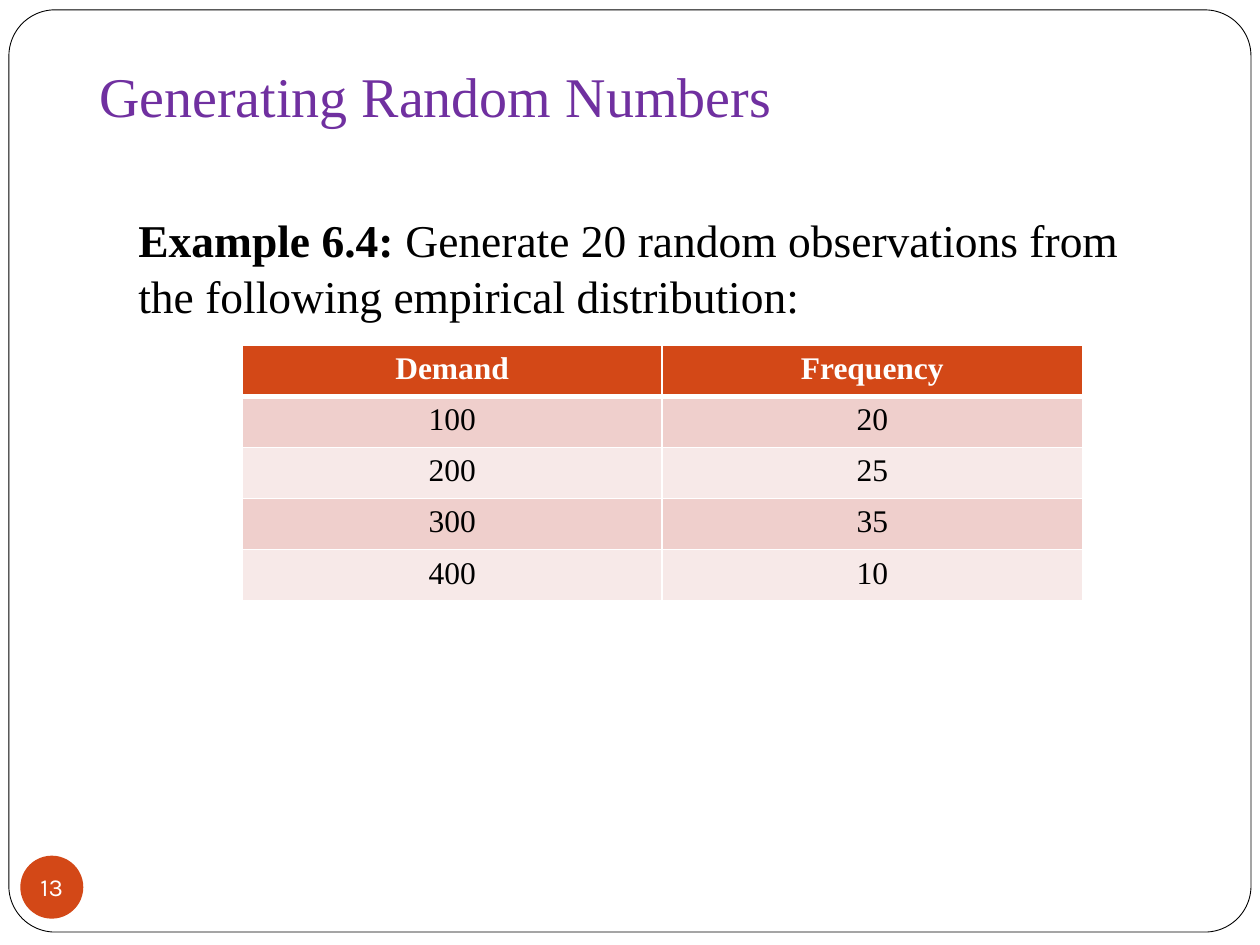
from lxml import etree
from pptx import Presentation
from pptx.dml.color import RGBColor
from pptx.enum.shapes import MSO_SHAPE
from pptx.enum.text import MSO_ANCHOR, PP_ALIGN
from pptx.oxml.ns import qn
from pptx.util import Cm, Pt

ROUNDED = MSO_SHAPE.ROUNDED_RECTANGLE
OVAL = MSO_SHAPE.OVAL
TOP, MIDDLE, BOTTOM = MSO_ANCHOR.TOP, MSO_ANCHOR.MIDDLE, MSO_ANCHOR.BOTTOM
CENTER = PP_ALIGN.CENTER
SERIF = "Times New Roman"
ORANGE, WHITE, BLACK, PURPLE = "D34817", "FFFFFF", "000000", "7030A0"
BANDS = ("EFCFCC", "F7E9E8")
DEMAND_ROWS = [
    ("Demand", "Frequency"),
    ("100", "20"),
    ("200", "25"),
    ("300", "35"),
    ("400", "10"),
]


def rgb(color):
    """Turn a hex string into a colour."""
    return RGBColor.from_string(color)


def style_run(r, size, color, bold=False, name=SERIF):
    """Format one run."""
    r.font.size = Pt(size)
    r.font.name = name
    r.font.bold = bold
    r.font.color.rgb = rgb(color)


def add_shape(s, kind, left, top, width, height, fill, line=None):
    """Add a filled preset shape, outlined when a line colour is given."""
    sp = s.shapes.add_shape(kind, Cm(left), Cm(top), Cm(width), Cm(height))
    sp.shadow.inherit = False
    sp.fill.solid()
    sp.fill.fore_color.rgb = rgb(fill)
    if line:
        sp.line.color.rgb = rgb(line)
        sp.line.width = Pt(0.5)
    else:
        sp.line.fill.background()
    return sp


def add_text(s, left, top, width, height, runs, size, color, anchor=TOP):
    """Add a wrapped text box from (text, bold) runs and return its paragraph."""
    tf = s.shapes.add_textbox(Cm(left), Cm(top), Cm(width), Cm(height)).text_frame
    tf.word_wrap = True
    tf.vertical_anchor = anchor
    p = tf.paragraphs[0]
    for text, bold in runs:
        r = p.add_run()
        r.text = text
        style_run(r, size, color, bold)
    return p


def add_page_number(s, number):
    """Add the round page number badge."""
    sp = add_shape(s, OVAL, 0.41, 17.25, 1.27, 1.27, ORANGE)
    tf = sp.text_frame
    tf.margin_left = tf.margin_right = tf.margin_top = tf.margin_bottom = 0
    tf.word_wrap = False
    tf.vertical_anchor = MIDDLE
    tf.text = number
    p = tf.paragraphs[0]
    p.alignment = CENTER
    style_run(p.runs[0], 14, WHITE, name="Karla")


def set_borders(cell, bottom):
    """Draw white cell borders, with the given width at the bottom."""
    tc_pr = cell._tc.get_or_add_tcPr()
    for side, width in (("L", 1), ("R", 1), ("T", 1), ("B", bottom)):
        ln = etree.SubElement(tc_pr, qn(f"a:ln{side}"), w=str(Pt(width)))
        fill = etree.SubElement(ln, qn("a:solidFill"))
        etree.SubElement(fill, qn("a:srgbClr"), val=WHITE)


def add_table(s, rows, left, top, col_width, row_height):
    """Add a centred table with a header and banded rows."""
    cols = len(rows[0])
    table = s.shapes.add_table(
        len(rows), cols, Cm(left), Cm(top),
        Cm(col_width * cols), Cm(row_height * len(rows))).table
    for col in table.columns:
        col.width = Cm(col_width)
    for i, values in enumerate(rows):
        header = i == 0
        table.rows[i].height = Cm(row_height)
        for j, value in enumerate(values):
            cell = table.cell(i, j)
            set_borders(cell, 3 if header else 1)
            cell.fill.solid()
            cell.fill.fore_color.rgb = rgb(ORANGE if header else BANDS[(i - 1) % 2])
            cell.text_frame.text = value
            p = cell.text_frame.paragraphs[0]
            p.alignment = CENTER
            style_run(p.runs[0], 18, WHITE if header else BLACK, header)


def main():
    """Build and save the slide."""
    prs = Presentation()
    prs.slide_width, prs.slide_height = Cm(25.4), Cm(19.05)
    s = prs.slides.add_slide(prs.slide_layouts[6])
    frame = add_shape(s, ROUNDED, 0.18, 0.2, 25.04, 18.59, WHITE, BLACK)
    frame.adjustments[0] = 0.05
    add_text(s, 1.75, -0.33, 21.59, 3.05,
             [("Generating Random Numbers", False)], 32, PURPLE, BOTTOM)
    add_page_number(s, "13")
    p = add_text(s, 2.54, 4.11, 21.59, 12.7, [
        ("Example 6.4: ", True),
        ("Generate 20 random observations from the following "
         "empirical distribution:", False),
    ], 26, BLACK)
    p.line_spacing = 1.03
    add_table(s, DEMAND_ROWS, 4.88, 6.96, 8.47, 1.03)
    prs.save("out.pptx")


if __name__ == "__main__":
    main()
